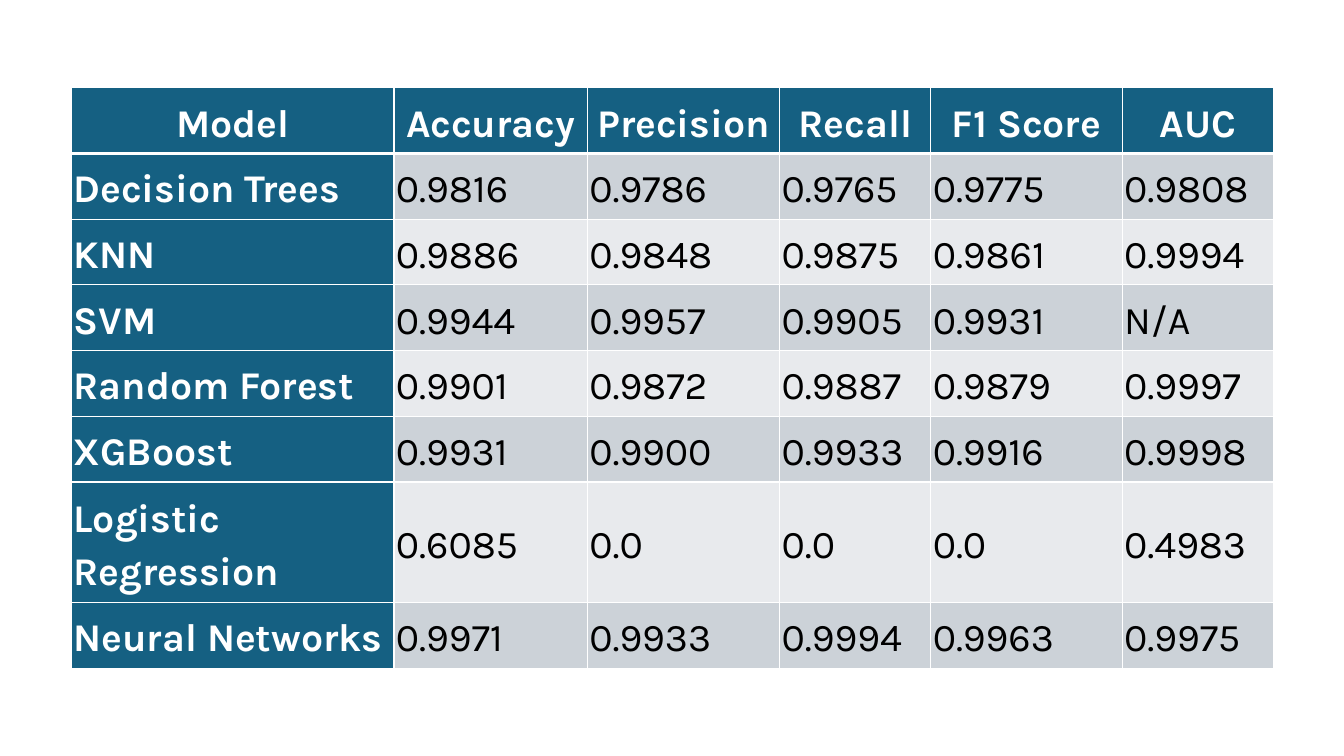
import dataclasses

import lxml.etree
import pptx
import pptx.dml.color
import pptx.enum.text
import pptx.oxml.ns
import pptx.util

Inches = pptx.util.Inches
Pt = pptx.util.Pt


@dataclasses.dataclass(frozen=True)
class Theme:
    font: str = "Karla"
    size: float = 28
    heading_fill: str = "156082"
    heading_text: str = "FFFFFF"
    score_text: str = "000000"
    bands: tuple = ("CCD2D8", "E8EAED")
    rule: str = "FFFFFF"
    thin: float = 1
    thick: float = 3
    padding: float = 0.02


THEME = Theme()
METRICS = ("Model", "Accuracy", "Precision", "Recall", "F1 Score", "AUC")
RESULTS = (
    ("Decision Trees", "0.9816", "0.9786", "0.9765", "0.9775", "0.9808"),
    ("KNN", "0.9886", "0.9848", "0.9875", "0.9861", "0.9994"),
    ("SVM", "0.9944", "0.9957", "0.9905", "0.9931", "N/A"),
    ("Random Forest", "0.9901", "0.9872", "0.9887", "0.9879", "0.9997"),
    ("XGBoost", "0.9931", "0.9900", "0.9933", "0.9916", "0.9998"),
    ("Logistic Regression", "0.6085", "0.0", "0.0", "0.0", "0.4983"),
    ("Neural Networks", "0.9971", "0.9933", "0.9994", "0.9963", "0.9975"),
)
COLUMN_SHARES = (3.2, 1.92, 1.91, 1.5, 1.9, 1.5)
ROW_SHARES = (0.65,) * 6 + (1.19, 0.65)


def rgb(value):
    return pptx.dml.color.RGBColor.from_string(value)


def add_border(cell, side, width):
    qn = pptx.oxml.ns.qn
    properties = cell._tc.get_or_add_tcPr()
    line = lxml.etree.SubElement(properties, qn(f"a:{side}"), w=str(Pt(width)))
    fill = lxml.etree.SubElement(line, qn("a:solidFill"))
    lxml.etree.SubElement(fill, qn("a:srgbClr"), val=THEME.rule)


def style_cell(cell, row, column):
    is_header = row == 0
    is_heading = is_header or column == 0
    for side in ("lnL", "lnR", "lnT", "lnB"):
        under_header = (row, side) in ((0, "lnB"), (1, "lnT"))
        add_border(cell, side, THEME.thick if under_header else THEME.thin)
    cell.fill.solid()
    band = THEME.bands[(row - 1) % 2]
    cell.fill.fore_color.rgb = rgb(THEME.heading_fill if is_heading else band)
    cell.vertical_anchor = pptx.enum.text.MSO_ANCHOR.MIDDLE
    cell.margin_left = cell.margin_right = Inches(THEME.padding)
    cell.margin_top = cell.margin_bottom = Inches(THEME.padding)

    paragraph = cell.text_frame.paragraphs[0]
    align = pptx.enum.text.PP_ALIGN
    paragraph.alignment = align.CENTER if is_header else align.LEFT
    paragraph.line_spacing = 1.15
    paragraph.space_after = Pt(8)
    paragraph.font.name = THEME.font
    paragraph.font.size = Pt(THEME.size)
    paragraph.font.bold = is_heading
    paragraph.font.color.rgb = rgb(THEME.heading_text if is_heading else THEME.score_text)


def add_scoreboard(slide, left, top, width, height):
    box = [Inches(length) for length in (left, top, width, height)]
    scoreboard = slide.shapes.add_table(len(RESULTS) + 1, len(METRICS), *box).table
    for column, share in zip(scoreboard.columns, COLUMN_SHARES):
        column.width = Inches(width * share / sum(COLUMN_SHARES))
    for row, share in zip(scoreboard.rows, ROW_SHARES):
        row.height = Inches(height * share / sum(ROW_SHARES))
    for row, entries in enumerate((METRICS, *RESULTS)):
        for column, entry in enumerate(entries):
            cell = scoreboard.cell(row, column)
            cell.text = entry
            style_cell(cell, row, column)


def main():
    deck = pptx.Presentation()
    deck.slide_width = Inches(13.33)
    deck.slide_height = Inches(7.5)
    slide = deck.slides.add_slide(deck.slide_layouts[6])
    add_scoreboard(slide, 0.71, 0.87, 11.92, 5.76)
    deck.save("out.pptx")


if __name__ == "__main__":
    main()
